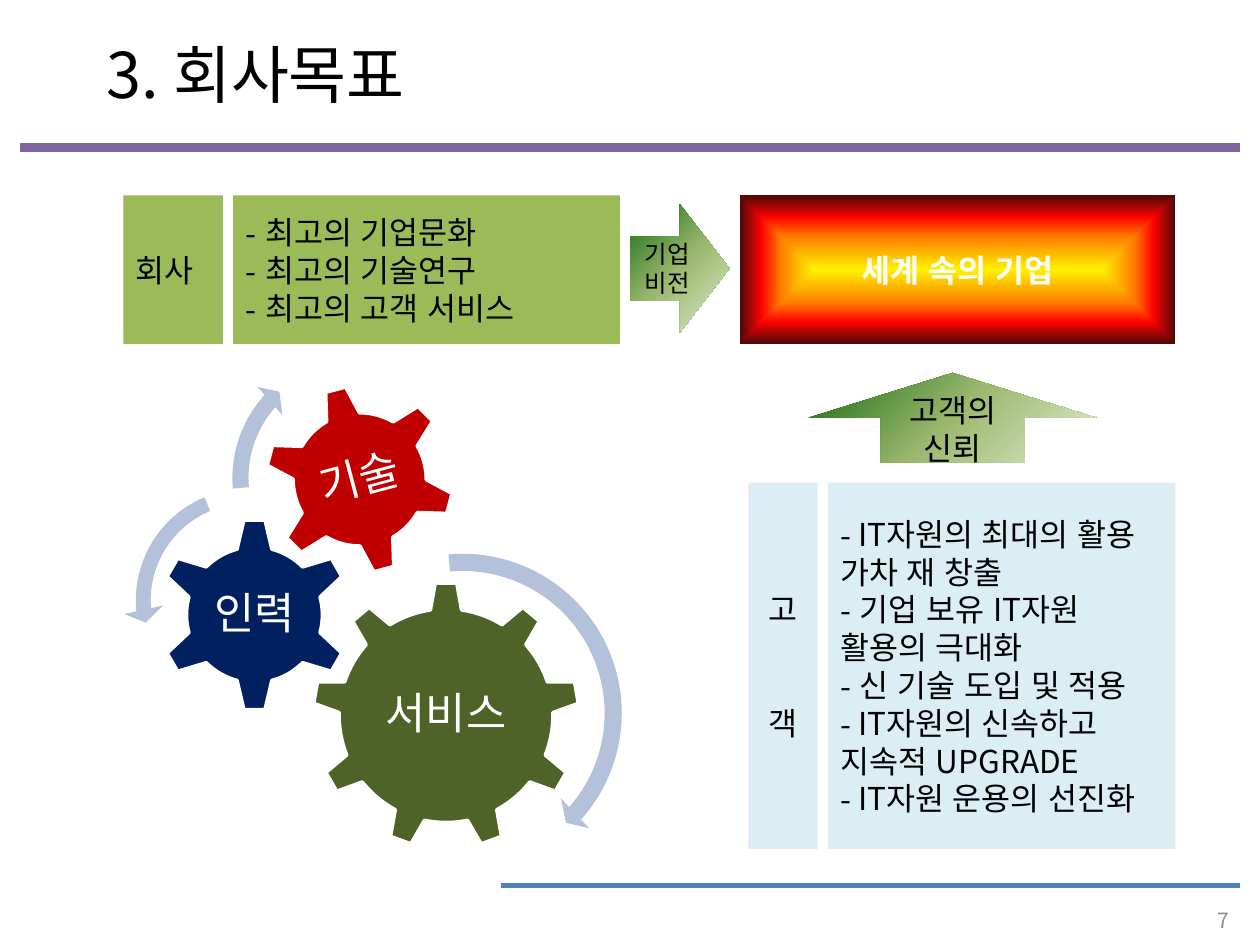
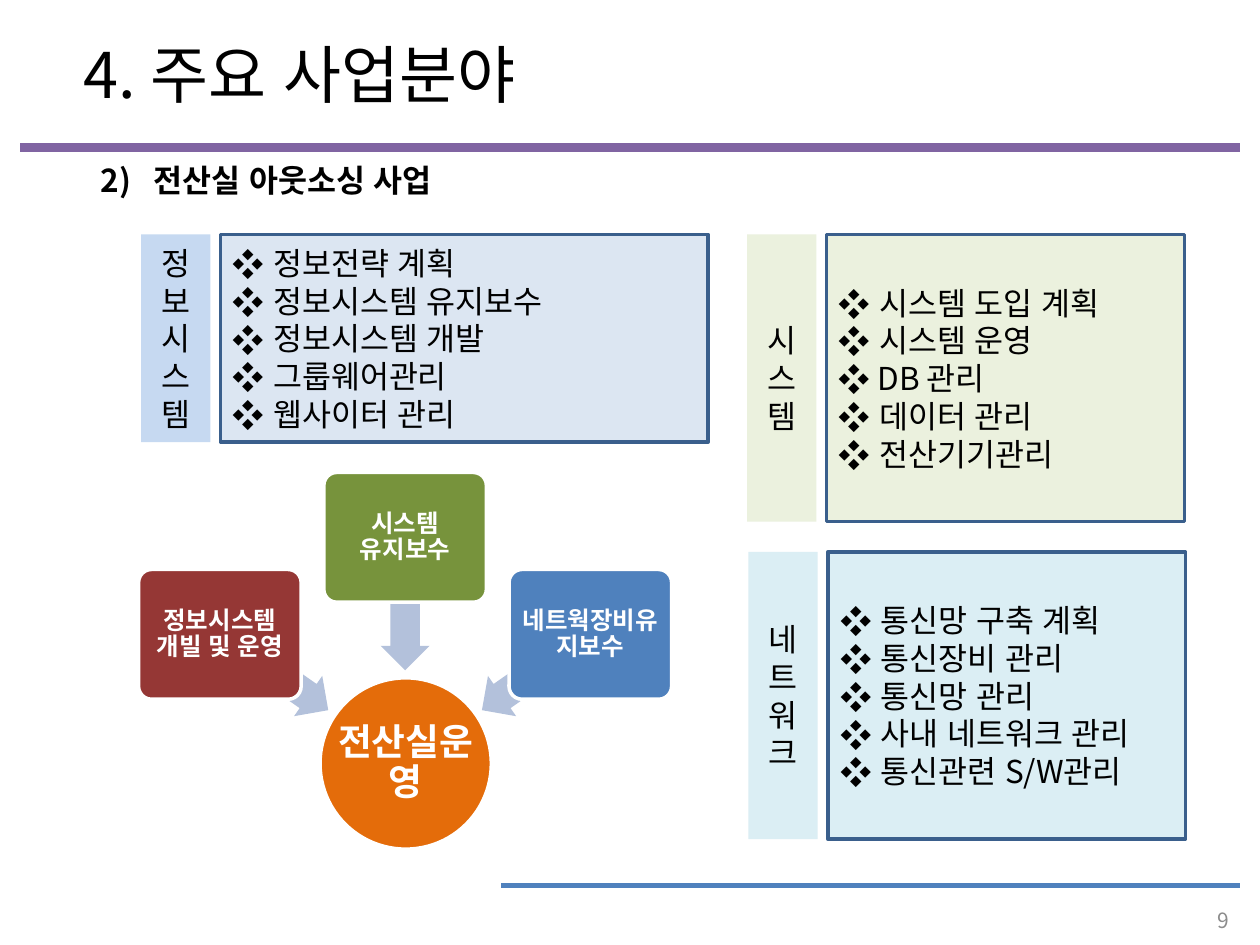
from dataclasses import dataclass

from lxml.etree import SubElement
from pptx import Presentation
from pptx.dml.color import RGBColor
from pptx.enum.lang import MSO_LANGUAGE_ID
from pptx.enum.shapes import MSO_CONNECTOR, MSO_SHAPE
from pptx.enum.text import MSO_ANCHOR, PP_ALIGN
from pptx.oxml.ns import qn
from pptx.util import Inches, Pt


@dataclass(frozen=True)
class Theme:
    """Colours, font and type sizes of the deck."""
    font: str = "Noto Sans CJK KR"
    ink: str = "000000"
    white: str = "FFFFFF"
    gray: str = "8C8C8C"
    violet: str = "8064A2"
    blue: str = "4F81BD"
    edge: str = "3A5F8C"
    leaf: str = "9BBB59"
    moss: str = "77933C"
    olive: str = "4F6228"
    navy: str = "002060"
    red: str = "C00000"
    brick: str = "953735"
    orange: str = "E46C0A"
    mist: str = "B3C1DB"
    aqua: str = "DBEEF4"
    sky: str = "C6D9F1"
    ice: str = "DCE6F2"
    cream: str = "EBF1DE"
    fire: tuple = ((0, "FFF200"), (45, "FF7A00"), (70, "FF0300"), (100, "4D0808"))
    grass: tuple = ((0, "DDEBCF"), (50, "9CB86E"), (100, "156B13"))
    title: int = 36
    gear: int = 25
    hub: int = 21
    body: int = 18
    small: int = 14
    note: int = 12


T = Theme()
LEFT, MID, RIGHT = PP_ALIGN.LEFT, PP_ALIGN.CENTER, PP_ALIGN.RIGHT


def rgb(code):
    """Turn a hex code into a colour."""
    return RGBColor.from_string(code)


def write(shape, lines, size=T.body, color=T.ink, bold=False, align=MID,
          bullet=None, pad=None, tight=None, gap=0, tab=None, anchor=MSO_ANCHOR.MIDDLE):
    """Fill a shape with styled paragraphs, one run each."""
    frame = shape.text_frame
    frame.word_wrap = True
    frame.vertical_anchor = anchor
    if pad is not None:
        frame.margin_left = frame.margin_right = Inches(pad)
        frame.margin_top = frame.margin_bottom = Inches(pad)
    for i, line in enumerate(lines):
        para = frame.add_paragraph() if i else frame.paragraphs[0]
        para.alignment = align
        if tight:
            para.line_spacing = tight
        if i and gap:
            para.space_before = Pt(gap)
        props = para._p.get_or_add_pPr()
        if bullet:
            props.set("marL", "0")
            props.set("indent", "0")
            SubElement(props, qn("a:buFont"), typeface=T.font)
            SubElement(props, qn("a:buChar"), char=bullet)
        if tab:
            stops = SubElement(props, qn("a:tabLst"))
            SubElement(stops, qn("a:tab"), pos=str(Inches(tab)), algn="l")
        run = para.add_run()
        run.text = f" {line}" if bullet else line
        font = run.font
        font.size, font.bold, font.name = Pt(size), bold, T.font
        font.color.rgb = rgb(color)
        font.language_id = MSO_LANGUAGE_ID.KOREAN
        SubElement(run._r.get_or_add_rPr(), qn("a:ea"), typeface=T.font)


def note(slide, box, lines, turn=0, **style):
    """Add a text box."""
    shape = slide.shapes.add_textbox(*map(Inches, box))
    shape.rotation = turn
    write(shape, lines, **style)


def form(slide, kind, box, fill, edge=None, turn=0, adj=()):
    """Add a flat preset shape with an optional outline."""
    shape = slide.shapes.add_shape(kind, *map(Inches, box))
    shape.shadow.inherit = False
    shape.rotation = turn
    shape.fill.solid()
    shape.fill.fore_color.rgb = rgb(fill)
    if edge:
        shape.line.color.rgb = rgb(edge)
        shape.line.width = Pt(2)
    else:
        shape.line.fill.background()
    for i, value in enumerate(adj):
        shape.adjustments[i] = value
    return shape


def glow(shape, stops, kind, focus):
    """Give a shape a gradient that spreads from a focus."""
    shape.fill.gradient()
    grad = shape._element.spPr.find(qn("a:gradFill"))
    for child in list(grad):
        grad.remove(child)
    bands = SubElement(grad, qn("a:gsLst"))
    for pos, code in stops:
        stop = SubElement(bands, qn("a:gs"), pos=str(pos * 1000))
        SubElement(stop, qn("a:srgbClr"), val=code)
    way = SubElement(grad, qn("a:path"), path=kind)
    sides = {side: str(part * 1000) for side, part in zip("ltrb", focus)}
    SubElement(way, qn("a:fillToRect"), **sides)


def rule(slide, left, top, color, width):
    """Draw a level rule out to the right margin."""
    line = slide.shapes.add_connector(
        MSO_CONNECTOR.STRAIGHT, Inches(left), Inches(top), Inches(9.84), Inches(top))
    line.line.color.rgb = rgb(color)
    line.line.width = Pt(width)
    SubElement(line._element.spPr, qn("a:effectLst"))


def start(deck, title, wide, page):
    """Add a slide with its title, rules and page number."""
    slide = deck.slides.add_slide(deck.slide_layouts[6])
    rule(slide, 0.16, 1.17, T.violet, 5)
    rule(slide, 3.98, 7.03, T.blue, 3)
    note(slide, (0.31, 0.23, wide, 0.7), [title], size=T.title)
    note(slide, (9.45, 7.19, 0.4, 0.22), [page], size=T.note, color=T.gray, align=RIGHT)
    return slide


def panel(slide, box, head, lines, tint, fill=None, edge=None, side=0.55,
          bullet="❖", **style):
    """Place a narrow heading beside a bulleted list."""
    left, top, wide, high = box
    step = side + 0.08
    label = form(slide, MSO_SHAPE.RECTANGLE, (left, top, side, high), tint)
    write(label, head, **style)
    body = form(slide, MSO_SHAPE.RECTANGLE, (left + step, top, wide - step, high),
                fill or tint, edge)
    write(body, lines, align=LEFT, bullet=bullet)


def arrow(slide, kind, box, lines, size):
    """Add a green arrow with a caption."""
    shape = form(slide, kind, box, T.leaf)
    glow(shape, T.grass, "circle", (100, 100, 0, 0))
    write(shape, lines, size=size)


def goal(slide, box):
    """Add the glowing vision box."""
    shape = form(slide, MSO_SHAPE.RECTANGLE, box, T.orange)
    glow(shape, T.fire, "shape", (50, 50, 50, 50))
    write(shape, ["세계 속의 기업"], color=T.white, bold=True)


def gears(slide, left, top):
    """Draw three meshed gears and their turning arrows."""
    for kind, x, y, side, fill, word, turn, inset in (
        (MSO_SHAPE.GEAR_9, 1.5, 1.89, 2.12, T.olive, "서비스", 0, 0),
        (MSO_SHAPE.GEAR_6, 0.27, 1.38, 1.54, T.navy, "인력", 0, 0),
        (MSO_SHAPE.GEAR_6, 1.12, 0.32, 1.51, T.red, "기술", 345, 0.33),
    ):
        x, y, room = left + x, top + y, side - 2 * inset
        form(slide, kind, (x, y, side, side), fill, T.white, turn)
        note(slide, (x + inset, y + inset, room, room), [word], turn,
             size=T.gear, color=T.white, pad=0.03, tight=0.9)
    for kind, x, y, side, adj in (
        (MSO_SHAPE.CIRCULAR_ARROW, 1.33, 1.57, 2.72, (0.05, 2.99, 24.98, 159.01, 0.06)),
        (MSO_SHAPE.LEFT_CIRCULAR_ARROW, 0, 1.05, 1.97, (0.06, 4.3, 104.89, 148.38, 0.08)),
        (MSO_SHAPE.CIRCULAR_ARROW, 0.78, 0, 2.13, (0.06, 3.94, 133.14, 105.08, 0.07)),
    ):
        form(slide, kind, (left + x, top + y, side, side), T.mist, adj=adj)


def hub(slide, left, top):
    """Draw three services that feed one hub."""
    def tile(kind, box, fill, word, size, pad, adj=()):
        """Add a white-edged shape with a bold caption."""
        form(slide, kind, box, fill, T.white, adj=adj)
        note(slide, box, [word], size=size, color=T.white, bold=True, pad=pad, tight=0.9)

    tile(MSO_SHAPE.OVAL, (left + 1.44, top + 1.63, 1.36, 1.36), T.orange,
         "전산실운영", T.hub, 0.01)
    parts = (
        ("정보시스템 개빌 및 운영", T.brick, 0.77, 1.39),
        ("시스템 유지보수", T.moss, 0, 0.85),
        ("네트웍장비유지보수", T.blue, 0.77, 1.39),
    )
    for i, (word, fill, drop, dip) in enumerate(parts):
        form(slide, MSO_SHAPE.LEFT_ARROW, (left + 0.55 + 1.04 * i, top + dip, 1.05, 0.39),
             T.mist, turn=215 + 55 * i, adj=(0.6, 0.5))
        tile(MSO_SHAPE.ROUNDED_RECTANGLE, (left + 1.47 * i, top + drop, 1.29, 1.03),
             fill, word, T.small, 0.03, (0.1,))


def aims(deck):
    """Build the slide on company goals."""
    slide = start(deck, "3. 회사목표", 3.44, "7")
    gears(slide, 0.98, 2.73)
    panel(slide, (0.98, 1.55, 3.94, 1.18), ["회사"],
          ["최고의 기업문화", "최고의 기술연구", "최고의 고객 서비스"],
          T.leaf, side=0.79, bullet="-", align=LEFT)
    panel(slide, (5.94, 3.83, 3.39, 2.91), ["고", "객"],
          ["IT자원의 최대의 활용 가차 재 창출", "기업 보유 IT자원 활용의 극대화",
           "신 기술 도입 및 적용", "IT자원의 신속하고 지속적 UPGRADE",
           "IT자원 운용의 선진화"],
          T.aqua, bullet="-", gap=43)
    goal(slide, (5.87, 1.55, 3.46, 1.18))
    arrow(slide, MSO_SHAPE.RIGHT_ARROW, (5, 1.62, 0.79, 1.02), ["기업", "비전"], T.small)
    arrow(slide, MSO_SHAPE.UP_ARROW, (6.42, 2.96, 2.28, 0.71), ["고객의 신뢰"], T.body)


def fields(deck):
    """Build the slide on business fields."""
    slide = start(deck, "4. 주요 사업분야", 4.14, "9")
    note(slide, (0.7, 1.23, 4.77, 0.4), ["2)\t전산실 아웃소싱 사업"],
         bold=True, align=LEFT, tab=0.42, anchor=MSO_ANCHOR.TOP)
    hub(slide, 1.1, 3.75)
    panel(slide, (1.12, 1.86, 4.5, 1.65), ["정보시스템"],
          ["정보전략 계획", "정보시스템 유지보수", "정보시스템 개발",
           "그룹웨어관리", "웹사이터 관리"], T.sky, T.ice, T.edge)
    panel(slide, (5.93, 1.86, 3.47, 2.28), ["시스템"],
          ["시스템 도입 계획", "시스템 운영", "DB 관리", "데이터 관리", "전산기기관리"],
          T.cream, edge=T.edge)
    panel(slide, (5.94, 4.38, 3.47, 2.28), ["네트워크"],
          ["통신망 구축 계획", "통신장비 관리", "통신망 관리",
           "사내 네트워크 관리", "통신관련 S/W관리"], T.aqua, edge=T.edge)


def main():
    """Build and save the deck."""
    deck = Presentation()
    deck.slide_width, deck.slide_height = Inches(10), Inches(7.5)
    aims(deck)
    fields(deck)
    deck.save("out.pptx")


if __name__ == "__main__":
    main()
